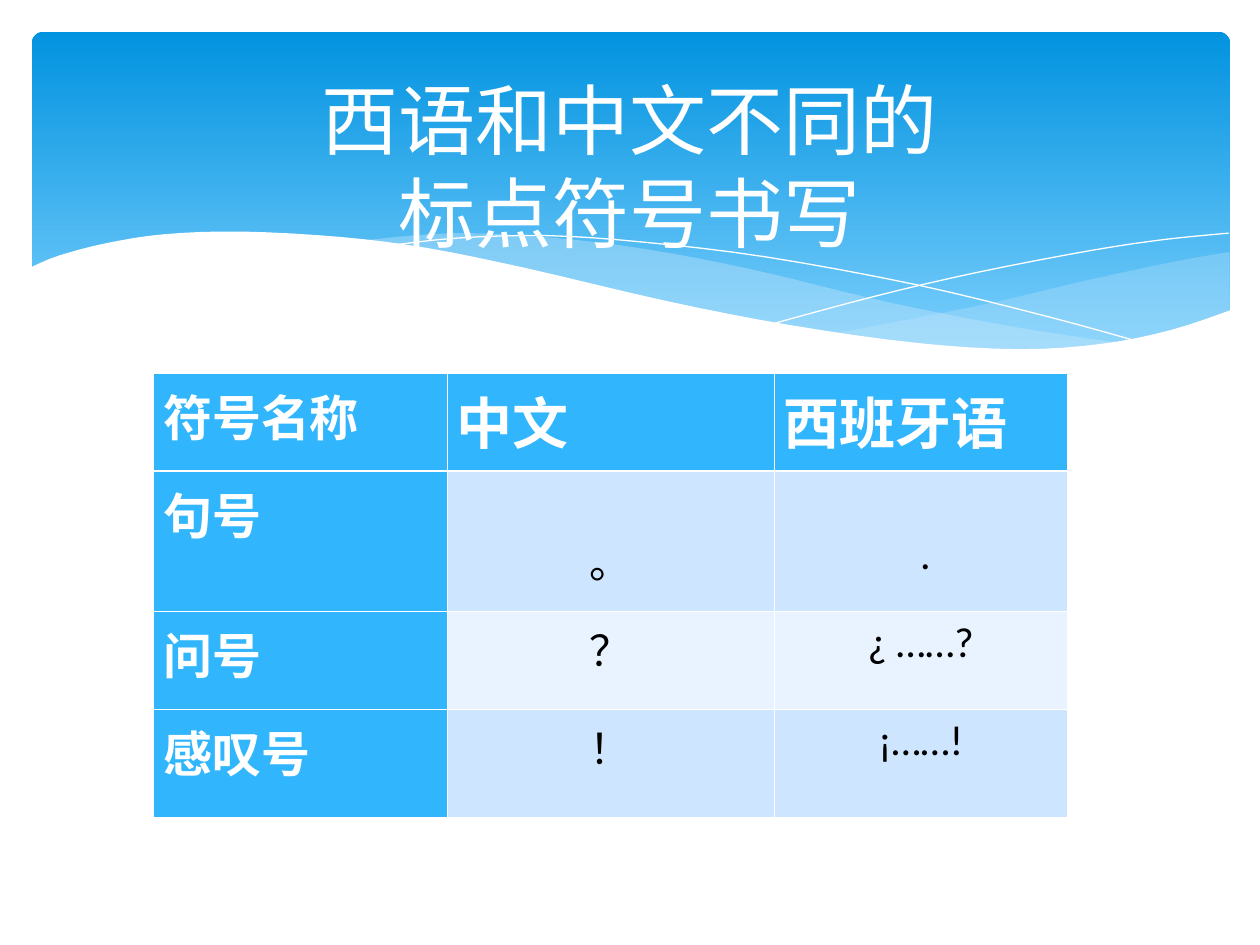
"""Build a slide comparing Chinese and Spanish punctuation marks."""
from dataclasses import dataclass

from lxml import etree
from pptx import Presentation
from pptx.dml.color import RGBColor
from pptx.enum.shapes import MSO_SHAPE
from pptx.enum.text import MSO_ANCHOR, MSO_AUTO_SIZE, PP_ALIGN
from pptx.oxml.ns import qn
from pptx.util import Cm, Pt

ROUND = MSO_SHAPE.ROUNDED_RECTANGLE
MIDDLE, TOP = MSO_ANCHOR.MIDDLE, MSO_ANCHOR.TOP
CENTER, JUSTIFY = PP_ALIGN.CENTER, PP_ALIGN.JUSTIFY
FIXED = MSO_AUTO_SIZE.NONE


@dataclass(frozen=True)
class Theme:
    font: str = "Calibri"
    white: str = "FFFFFF"
    ink: str = "000000"
    sky: tuple = ("0293E0", "83D3FE")
    mist: str = "C6E7FC"
    head: str = "31B6FD"
    bands: tuple = ("CDE5FE", "E8F3FF")
    title: int = 44
    big: int = 32
    label: int = 28
    body: int = 24
    thin: float = 0.45
    thick: float = 1.47


THEME = Theme()
TITLE = "西语和中文不同的\v标点符号书写"
ROWS = [
    ("符号名称", "中文", "西班牙语"),
    ("句号", "。", " ."),
    ("问号", "？", "¿ ……?"),
    ("感叹号", "！", "¡……!"),
]
WIDTHS = (5.92, 6.58, 5.92)
HEIGHTS = (1.98, 2.82, 1.98, 2.18)
DROP = {1: 1.05}

SWELL = [
    [(24.79, 5.08), (23.75, 5.26), (21.87, 5.66), (19.79, 6.15), (16.79, 6.73)],
    [(16.79, 6.73), (18.59, 6.96), (20.4, 7.06), (21.92, 6.99), (23.39, 6.73),
     (24.79, 6.27)],
]
BAND = [
    [(22.68, 6.93), (20.5, 6.6), (17.93, 6.1), (15.19, 5.44), (13.06, 5.03),
     (11.2, 4.8), (9.17, 4.7), (7.26, 4.85)],
    [(7.26, 4.85), (9.19, 5.16), (11.4, 5.64), (14.38, 6.3), (17.27, 6.81),
     (19.33, 7.04), (20.78, 7.09), (22.68, 6.93)],
]
FALL = [
    [(7.85, 4.95), (9.22, 4.8), (11, 4.75), (12.95, 4.88), (15.44, 5.18),
     (18.47, 5.74), (21.11, 6.38), (23.04, 6.91)],
]
RISE = [
    [(15.57, 6.53), (17.65, 5.97), (19.71, 5.49), (22, 5.05), (23.47, 4.83),
     (24.77, 4.7)],
]
WAVE = [
    [(24.82, 6.25), (23.62, 6.65), (22.23, 6.93), (20.55, 7.04), (18.44, 6.91),
     (15.9, 6.55), (13.44, 6.07), (10.62, 5.41), (8.61, 5), (6.88, 4.78),
     (4.9, 4.67), (3.35, 4.72), (2.16, 4.9), (1.17, 5.16), (0.58, 5.41)],
    [(0.58, 8.36), (24.82, 8.36)],
]
CURVES = [
    (SWELL, THEME.mist, 29),
    (BAND, THEME.mist, 40),
    (FALL, None, 100),
    (RISE, None, 100),
    (WAVE, THEME.white, 100),
]


def rgb(code):
    return RGBColor.from_string(code)


def smooth(knots, steps=4):
    """Return points of a Catmull-Rom curve through the knots."""
    ends = [knots[0], *knots, knots[-1]]
    points = [knots[0]]
    for a, b, c, d in zip(ends, ends[1:], ends[2:], ends[3:]):
        for step in range(1, steps + 1):
            t = step / steps
            points.append(tuple(
                (2 * q + (r - p) * t + (2 * p - 5 * q + 4 * r - s) * t ** 2
                 + (3 * q - p - 3 * r + s) * t ** 3) / 2
                for p, q, r, s in zip(a, b, c, d)))
    return points


def draw(shapes, parts, fill, alpha):
    """Draw one filled wave, or a white hairline when fill is None."""
    points = [(Cm(x), Cm(y)) for part in parts for x, y in smooth(part)]
    pen = shapes.build_freeform(*points[0])
    pen.add_line_segments(points[1:], close=fill is not None)
    shape = pen.convert_to_shape()
    shape.shadow.inherit = False
    if fill is None:
        shape.fill.background()
        shape.line.color.rgb = rgb(THEME.white)
        shape.line.width = Pt(0)
        return
    shape.line.fill.background()
    shape.fill.solid()
    shape.fill.fore_color.rgb = rgb(fill)
    if alpha < 100:
        tint = shape.element.spPr.find(qn("a:solidFill"))[0]
        etree.SubElement(tint, qn("a:alpha"), val=str(alpha * 1000))


def write(frame, text, size, color, align=CENTER, bold=False):
    """Put formatted text into a text frame."""
    frame.text = text
    para = frame.paragraphs[0]
    para.alignment = align
    for run in para.runs:
        run.font.name = THEME.font
        run.font.size = Pt(size)
        run.font.bold = bold
        run.font.color.rgb = rgb(color)


def border(cell, row):
    """Give a cell white edges, thicker under the header row."""
    props = cell._tc.get_or_add_tcPr()
    heavy = {0: "lnB", 1: "lnT"}.get(row)
    for spot, side in enumerate(("lnL", "lnR", "lnT", "lnB")):
        width = THEME.thick if side == heavy else THEME.thin
        line = etree.Element(qn(f"a:{side}"), w=str(Pt(width)))
        fill = etree.SubElement(line, qn("a:solidFill"))
        etree.SubElement(fill, qn("a:srgbClr"), val=THEME.white)
        props.insert(spot, line)


def sky(shapes):
    """Draw the gradient header panel."""
    panel = shapes.add_shape(ROUND, Cm(0.64), Cm(0.64), Cm(24.16), Cm(6.86))
    panel.adjustments[0] = 0.034
    panel.shadow.inherit = False
    panel.line.fill.background()
    panel.fill.gradient()
    panel.fill.gradient_angle = 270
    for spot, (stop, tone) in enumerate(zip(panel.fill.gradient_stops, THEME.sky)):
        stop.position = spot
        stop.color.rgb = rgb(tone)


def grid(shapes):
    """Add the punctuation table."""
    table = shapes.add_table(len(ROWS), len(WIDTHS), Cm(3.1), Cm(7.52),
                             Cm(sum(WIDTHS)), Cm(sum(HEIGHTS))).table
    table.first_col = True
    for col, width in zip(table.columns, WIDTHS):
        col.width = Cm(width)
    for r, (texts, height) in enumerate(zip(ROWS, HEIGHTS)):
        table.rows[r].height = Cm(height)
        for c, text in enumerate(texts):
            cell = table.cell(r, c)
            head = r == 0 or c == 0
            cell.margin_left = cell.margin_right = Cm(0.19)
            cell.margin_bottom = Cm(0.13)
            cell.margin_top = Cm(0.13 + (0 if head else DROP.get(r, 0)))
            cell.vertical_anchor = TOP
            cell.fill.solid()
            cell.fill.fore_color.rgb = rgb(
                THEME.head if head else THEME.bands[(r - 1) % 2])
            border(cell, r)
            if head:
                size = THEME.label if c == 0 else THEME.big
                write(cell.text_frame, text, size, THEME.white,
                      align=JUSTIFY, bold=True)
            else:
                write(cell.text_frame, text, THEME.body, THEME.ink)


def main():
    deck = Presentation()
    deck.slide_width, deck.slide_height = Cm(25.4), Cm(19.05)
    slide = deck.slides.add_slide(deck.slide_layouts[5])
    shapes = slide.shapes
    sky(shapes)
    for parts, fill, alpha in CURVES:
        draw(shapes, parts, fill, alpha)
    title = shapes.title
    shapes.element.append(title.element)
    title.left, title.top = Cm(1.27), Cm(0.94)
    title.width, title.height = Cm(22.86), Cm(4.78)
    title.text_frame.auto_size = FIXED
    title.text_frame.vertical_anchor = MIDDLE
    write(title.text_frame, TITLE, THEME.title, THEME.white)
    grid(shapes)
    deck.save("out.pptx")


if __name__ == "__main__":
    main()
